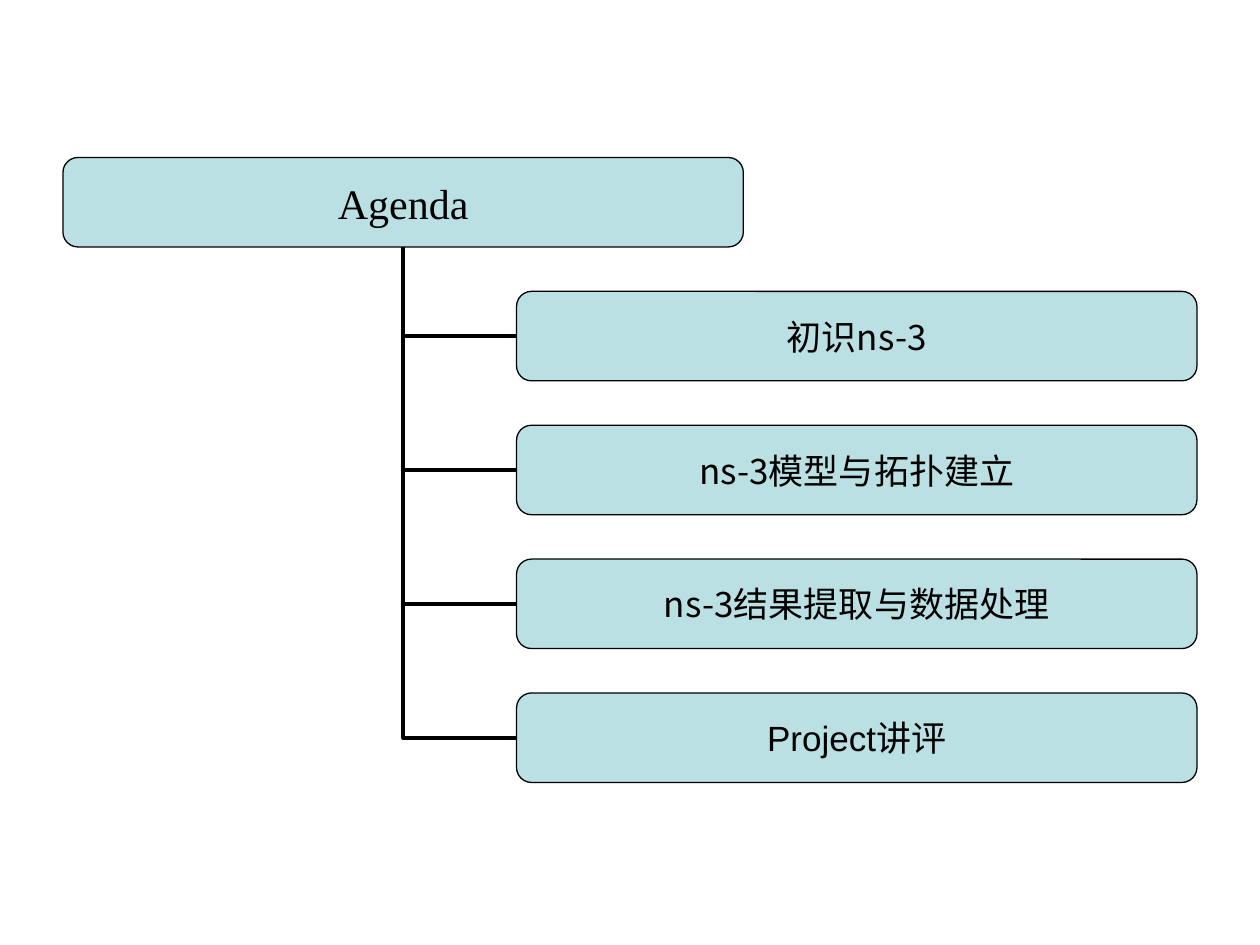
import pptx
import pptx.dml.color
import pptx.enum.shapes
import pptx.enum.text
import pptx.oxml
import pptx.oxml.ns
import pptx.util

Inches = pptx.util.Inches
Pt = pptx.util.Pt
qn = pptx.oxml.ns.qn

COLORS = {"node": "BBE0E3", "ink": "000000"}
CJK_FONT = "Noto Sans CJK SC"
ROOT_FORMAT = {"name": "Times New Roman", "size": Pt(24)}
TOPICS = [
    ("初识ns-3", CJK_FONT),
    ("ns-3模型与拓扑建立", CJK_FONT),
    ("ns-3结果提取与数据处理", CJK_FONT),
    ("Project讲评", "Arial"),
]


def rgb(key):
    return pptx.dml.color.RGBColor.from_string(COLORS[key])


def add_node(shapes, left, top, width, height, text, font_format):
    """Rounded box with one centred line of text."""
    sp = shapes.add_shape(
        pptx.enum.shapes.MSO_SHAPE.ROUNDED_RECTANGLE,
        Inches(left), Inches(top), Inches(width), Inches(height))
    sp.shadow.inherit = False
    sp.fill.solid()
    sp.fill.fore_color.rgb = rgb("node")
    sp.line.color.rgb = rgb("ink")
    sp.line.width = Pt(0.75)

    tf = sp.text_frame
    frame_format = {
        "margin_left": 0, "margin_top": 0, "margin_right": 0, "margin_bottom": 0,
        "word_wrap": False,
        "vertical_anchor": pptx.enum.text.MSO_ANCHOR.MIDDLE,
    }
    for name, value in frame_format.items():
        setattr(tf, name, value)
    p = tf.paragraphs[0]
    p.alignment = pptx.enum.text.PP_ALIGN.CENTER
    r = p.add_run()
    r.text = text
    for name, value in font_format.items():
        setattr(r.font, name, value)
    r.font.color.rgb = rgb("ink")
    # East Asian typeface
    ea = pptx.oxml.parse_xml(
        f'<a:ea {pptx.oxml.ns.nsdecls("a")} typeface="{CJK_FONT}"/>')
    r.font._element.find(qn("a:latin")).addnext(ea)


def add_branch(shapes, left, top, right, bottom):
    """One-bend connector from a topic's left side up to the root."""
    cxn = shapes.add_connector(
        pptx.enum.shapes.MSO_CONNECTOR.ELBOW,
        Inches(left), Inches(top), Inches(right), Inches(bottom))
    cxn.line.color.rgb = rgb("ink")
    cxn.line.width = Pt(2.25)
    sp_pr = cxn._element.spPr
    sp_pr.find(qn("a:xfrm")).set("rot", "10800000")
    sp_pr.find(qn("a:prstGeom")).set("prst", "bentConnector2")
    sp_pr.append(pptx.oxml.parse_xml(
        f'<a:effectLst {pptx.oxml.ns.nsdecls("a")}/>'))


def add_agenda_tree(shapes, left, top, width, height):
    """Root box at the upper left, topics stepped down the right side."""
    node_w, node_h = 0.6 * width, 0.71
    pitch = (height - node_h) / len(TOPICS)
    topic_left = left + width - node_w
    trunk_x = left + node_w / 2
    topic_tops = [top + pitch * (i + 1) for i in range(len(TOPICS))]

    # Connectors behind the boxes, longest first
    for topic_top in reversed(topic_tops):
        add_branch(shapes, trunk_x, top + node_h,
                   topic_left, topic_top + node_h / 2)

    # Root and topics
    add_node(shapes, left, top, node_w, node_h, "Agenda", ROOT_FORMAT)
    for topic_top, (text, font) in zip(topic_tops, TOPICS):
        add_node(shapes, topic_left, topic_top, node_w, node_h, text,
                 {"name": font, "size": Pt(20)})


def main():
    prs = pptx.Presentation()
    prs.slide_width, prs.slide_height = Inches(10), Inches(7.5)
    s = prs.slides.add_slide(prs.slide_layouts[6])
    add_agenda_tree(s.shapes, 0.5, 1.25, 9, 4.96)
    prs.save("out.pptx")


if __name__ == "__main__":
    main()
